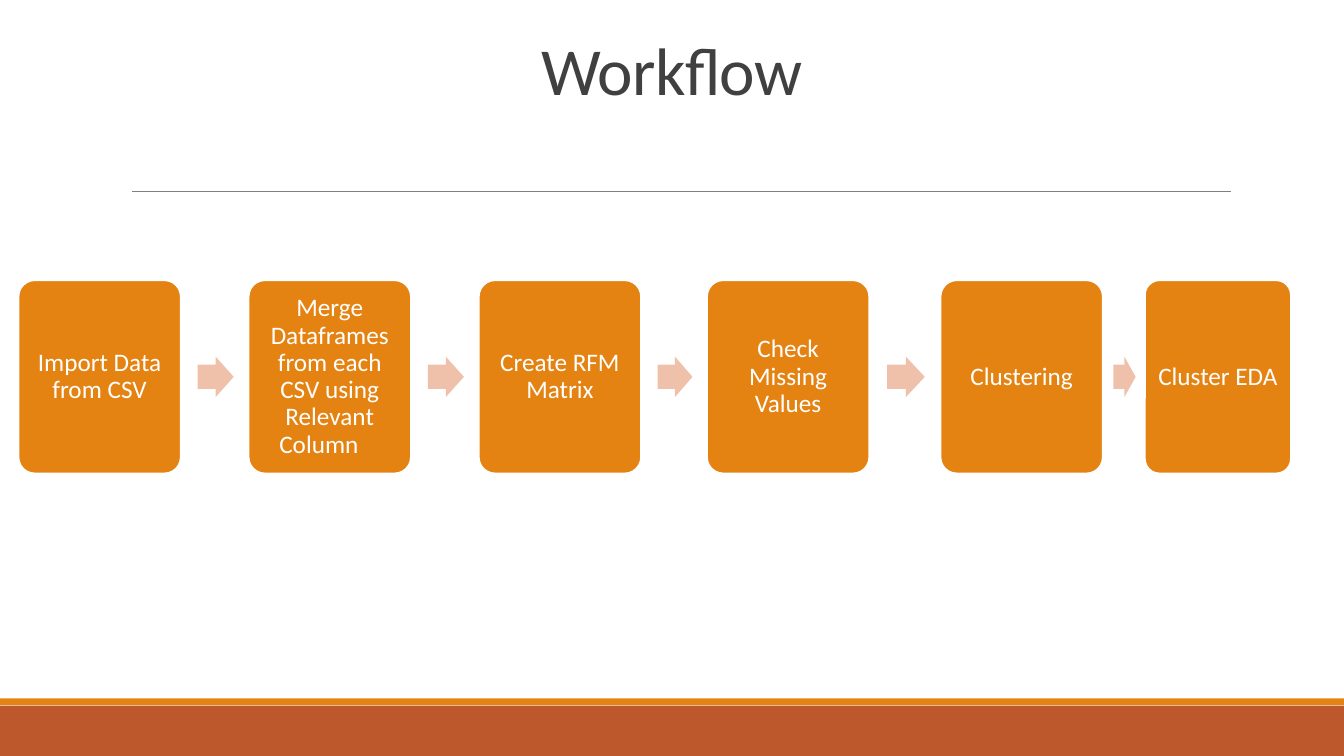
from pptx import Presentation
from pptx.dml.color import RGBColor
from pptx.enum.shapes import MSO_CONNECTOR, MSO_SHAPE as Shape
from pptx.enum.text import MSO_ANCHOR as Anchor, PP_ALIGN as Align
from pptx.oxml.ns import qn
from pptx.util import Pt
from lxml.etree import SubElement

TITLE = "Workflow"
# Step text, left edge and width of its box
STEPS = [
    ("Import Data from CSV", 13.2, 115.9),
    ("Merge Dataframes from each CSV using Relevant Column\t", 177.6, 115.9),
    ("Create RFM Matrix", 342, 115.9),
    ("Check Missing Values", 505, 115.9),
    ("Clustering", 671.8, 115.9),
    ("Cluster EDA", 817.8, 104.3),
]
COLORS = {
    "orange": "E48312", "rust": "BD582C", "arrow": "EFC1AB",
    "rule": "808080", "title": "404040", "white": "FFFFFF",
}
FONT = "Calibri"
PAGE_WIDTH, PAGE_HEIGHT = 960, 540
BOX_TOP, BOX_HEIGHT, BOX_INSET = 200.2, 138, 5
ARROW_HEIGHT = 28.8
ARROW_START, ARROW_SHARE = 0.25, 0.53  # fractions of the gap between boxes


def color(name):
    return RGBColor.from_string(COLORS[name])


def add_shape(page, kind, left, top, width, height, fill):
    shape = page.shapes.add_shape(kind, Pt(left), Pt(top), Pt(width), Pt(height))
    shape.shadow.inherit = False
    shape.fill.solid()
    shape.fill.fore_color.rgb = color(fill)
    shape.line.fill.background()
    return shape


def format_para(para, size, fill, spacing):
    para.alignment = Align.CENTER
    para.line_spacing = spacing
    para.font.name = FONT
    para.font.size = Pt(size)
    para.font.color.rgb = color(fill)


def add_step(page, text, left, width):
    box = add_shape(page, Shape.ROUNDED_RECTANGLE, left, BOX_TOP, width, BOX_HEIGHT, "orange")
    box.adjustments[0] = 0.1
    box.line.color.rgb = color("white")
    box.line.width = Pt(1.25)
    frame = box.text_frame
    frame.word_wrap = True
    frame.vertical_anchor = Anchor.MIDDLE
    frame.margin_left = frame.margin_right = Pt(BOX_INSET)
    frame.margin_top = frame.margin_bottom = Pt(BOX_INSET)
    frame.text = text
    format_para(frame.paragraphs[0], 18, "white", 0.9)


def add_arrow(page, start, end):
    gap = end - start
    arrow = add_shape(page, Shape.RIGHT_ARROW, start + ARROW_START * gap,
                      BOX_TOP + (BOX_HEIGHT - ARROW_HEIGHT) / 2,
                      ARROW_SHARE * gap, ARROW_HEIGHT, "arrow")
    arrow.adjustments[0] = 0.6
    arrow.adjustments[1] = 0.5


deck = Presentation()
deck.slide_width, deck.slide_height = Pt(PAGE_WIDTH), Pt(PAGE_HEIGHT)
page = deck.slides.add_slide(deck.slide_layouts[5])

# Footer bands and rule under the title
add_shape(page, Shape.RECTANGLE, 0, 504, PAGE_WIDTH, 36, "rust")
add_shape(page, Shape.RECTANGLE, 0, 498.8, PAGE_WIDTH, 5, "orange")
rule = page.shapes.add_connector(MSO_CONNECTOR.STRAIGHT, Pt(94.2), Pt(136.6), Pt(879), Pt(136.6))
rule.line.color.rgb = color("rule")
rule.line.width = Pt(0.5)
SubElement(rule._element.spPr, qn("a:effectLst"))

# Title
title = page.shapes.title
title.left, title.top, title.width, title.height = Pt(84), Pt(5), Pt(792), Pt(77)
title.text_frame.text = TITLE
title.text_frame.vertical_anchor = Anchor.BOTTOM
heading = title.text_frame.paragraphs[0]
format_para(heading, 48, "title", 0.85)
heading.font._element.set("spc", "-50")

# Steps, each followed by an arrow to the next
for text, left, width in STEPS:
    add_step(page, text, left, width)
for (_, left, width), (_, next_left, _) in zip(STEPS, STEPS[1:]):
    add_arrow(page, left + width, next_left)

deck.save("out.pptx")
